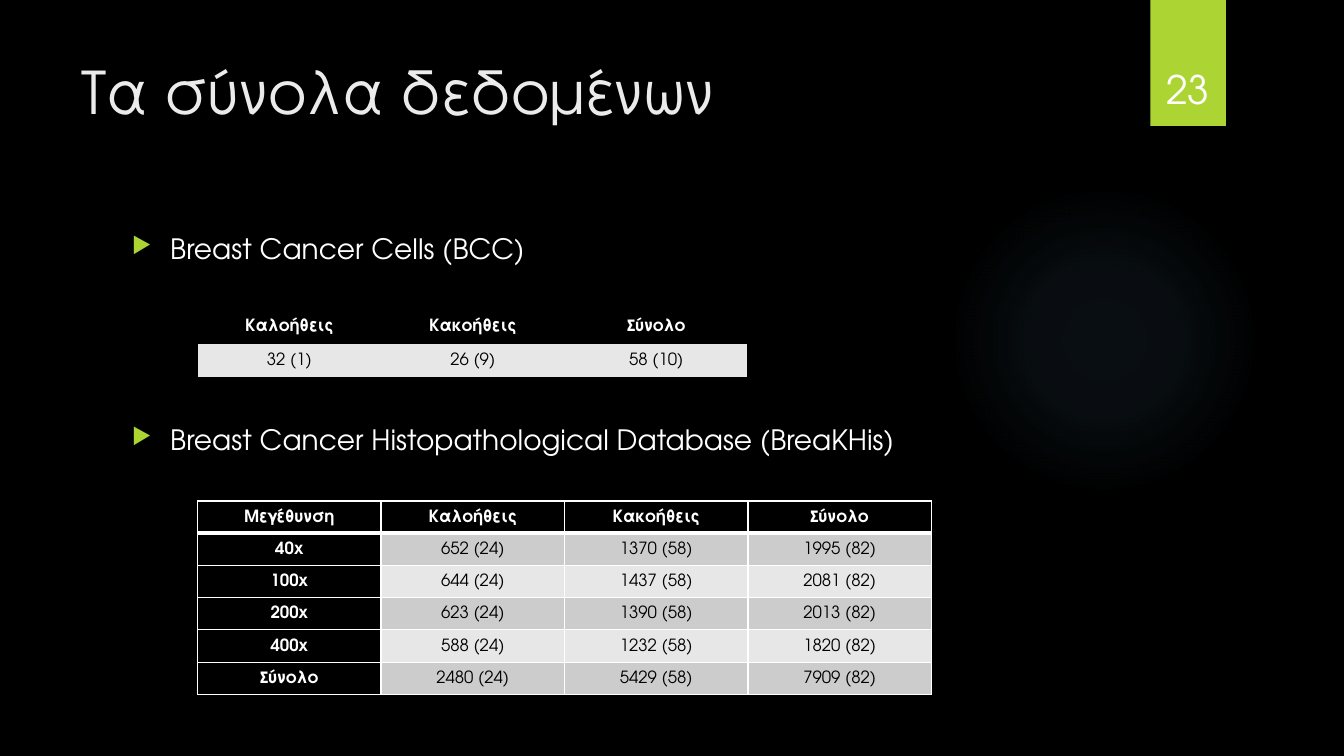
from lxml import etree
from pptx import Presentation
from pptx.dml.color import RGBColor
from pptx.enum.shapes import MSO_SHAPE as SHAPE
from pptx.enum.text import MSO_ANCHOR as ANCHOR, PP_ALIGN as ALIGN
from pptx.oxml import parse_xml
from pptx.oxml.ns import nsdecls, qn
from pptx.util import Pt

PX = 9144
FONT = "TeX Gyre Adventor"
BLACK = RGBColor(0x00, 0x00, 0x00)
WHITE = RGBColor(0xFF, 0xFF, 0xFF)
TITLE = RGBColor(0xEB, 0xEB, 0xEB)
LIME = RGBColor(0xAC, 0xD4, 0x33)
GLOW = RGBColor(0x7A, 0xC4, 0xF0)
BAND_DARK = RGBColor(0xCC, 0xCC, 0xCC)
BAND_LIGHT = RGBColor(0xE7, 0xE7, 0xE7)

DATASETS = ["Breast Cancer Cells (BCC)",
            "Breast Cancer Histopathological Database (BreaKHis)"]
BCC = [["Καλοήθεις", "Κακοήθεις", "Σύνολο"],
       ["32 (1)", "26 (9)", "58 (10)"]]
BREAKHIS = [["Μεγέθυνση", "Καλοήθεις", "Κακοήθεις", "Σύνολο"],
            ["40x", "652 (24)", "1370 (58)", "1995 (82)"],
            ["100x", "644 (24)", "1437 (58)", "2081 (82)"],
            ["200x", "623 (24)", "1390 (58)", "2013 (82)"],
            ["400x", "588 (24)", "1232 (58)", "1820 (82)"],
            ["Σύνολο", "2480 (24)", "5429 (58)", "7909 (82)"]]


def emu(*lengths):
    return [n * PX for n in lengths]


def add_run(p, text, size, color, bold=False):
    r = p.add_run()
    r.text = text
    r.font.name = FONT
    r.font.size = Pt(size)
    r.font.bold = bold
    r.font.color.rgb = color


def add_text_frame(s, box):
    tf = s.shapes.add_textbox(*emu(*box)).text_frame
    tf.word_wrap = True
    return tf


def add_plain_shape(s, kind, box):
    sp = s.shapes.add_shape(kind, *emu(*box))
    sp.shadow.inherit = False
    sp.line.fill.background()
    return sp


def add_glow(s, box):
    sp = add_plain_shape(s, SHAPE.OVAL, box)
    stops = "".join(
        f'<a:gs pos="{pos * 1000}"><a:srgbClr val="{GLOW}">'
        f'<a:alpha val="{alpha * 1000}"/></a:srgbClr></a:gs>'
        for pos, alpha in [(0, 7), (36, 6), (69, 0)])
    gradient = parse_xml(
        f'<a:gradFill {nsdecls("a")} rotWithShape="1"><a:gsLst>{stops}</a:gsLst>'
        '<a:path path="circle"><a:fillToRect l="50000" t="50000" r="50000" '
        'b="50000"/></a:path></a:gradFill>')
    sp.element.spPr.find(qn("a:prstGeom")).addnext(gradient)


def add_page_tab(s, box, number):
    x, y, w, h = box
    sp = add_plain_shape(s, SHAPE.RECTANGLE, box)
    sp.fill.solid()
    sp.fill.fore_color.rgb = LIME
    tf = add_text_frame(s, (x - 9, y + 32, w + 17, h - 41))
    tf.vertical_anchor = ANCHOR.BOTTOM
    p = tf.paragraphs[0]
    p.alignment = ALIGN.CENTER
    add_run(p, number, 28, WHITE)


def add_title(s, box, text):
    add_run(add_text_frame(s, box).paragraphs[0], text, 42, TITLE)


def add_bullet(p):
    pPr = p._p.get_or_add_pPr()
    pPr.set("marL", str(38 * PX))
    pPr.set("indent", str(-38 * PX))
    color = etree.SubElement(pPr, qn("a:buClr"))
    etree.SubElement(color, qn("a:srgbClr"), val=str(LIME))
    etree.SubElement(pPr, qn("a:buSzPct"), val="80000")
    etree.SubElement(pPr, qn("a:buChar"), char="▶")


def add_datasets(s, box, names):
    tf = add_text_frame(s, box)
    for i, name in enumerate(names):
        p = tf.add_paragraph() if i else tf.paragraphs[0]
        add_bullet(p)
        if i:
            p.space_before = Pt(112)
        add_run(p, name, 20, WHITE)


def set_borders(cell, color, widths):
    tcPr = cell._tc.get_or_add_tcPr()
    for side, width in zip("LRTB", widths):
        ln = etree.SubElement(tcPr, qn(f"a:ln{side}"), w=str(Pt(width)))
        if width:
            fill = etree.SubElement(ln, qn("a:solidFill"))
            etree.SubElement(fill, qn("a:srgbClr"), val=str(color))
        else:
            etree.SubElement(ln, qn("a:noFill"))


def fill_cell(cell, text, fill, color, bold):
    cell.fill.solid()
    cell.fill.fore_color.rgb = fill
    cell.vertical_anchor = ANCHOR.MIDDLE
    cell.margin_left = cell.margin_right = 7 * PX
    cell.margin_top = cell.margin_bottom = 0
    p = cell.text_frame.paragraphs[0]
    p.alignment = ALIGN.CENTER
    p.line_spacing = 1.07
    add_run(p, text, 12, color, bold)


def add_counts(s, box, rows, bands, border, row_titles=False):
    n_rows, n_cols = len(rows), len(rows[0])
    table = s.shapes.add_table(n_rows, n_cols, *emu(*box)).table
    for i, row in enumerate(rows):
        for j, text in enumerate(row):
            cell = table.cell(i, j)
            head = i == 0 or (row_titles and j == 0)
            if row_titles:
                widths = (1, 1, 3 if i == 1 else 1, 3 if i == 0 else 1)
            else:
                widths = (int(j == 0), int(j == n_cols - 1), 1, 1)
            set_borders(cell, border, widths)
            fill = BLACK if head else bands[(i - 1) % len(bands)]
            fill_cell(cell, text, fill, WHITE if head else BLACK, head)


def main():
    prs = Presentation()
    prs.slide_width, prs.slide_height = emu(1333, 750)
    s = prs.slides.add_slide(prs.slide_layouts[6])
    s.background.fill.solid()
    s.background.fill.fore_color.rgb = BLACK
    add_glow(s, (941, 183, 308, 308))
    add_page_tab(s, (1141, 0, 75, 125), "23")
    add_title(s, (71, 50, 1029, 153), "Τα σύνολα δεδομένων")
    add_datasets(s, (121, 225, 803, 459), DATASETS)
    add_counts(s, (196, 497, 728, 192), BREAKHIS, [BAND_DARK, BAND_LIGHT], WHITE, True)
    add_counts(s, (196, 307, 546, 68), BCC, [BAND_LIGHT], BLACK)
    prs.save("out.pptx")


if __name__ == "__main__":
    main()
